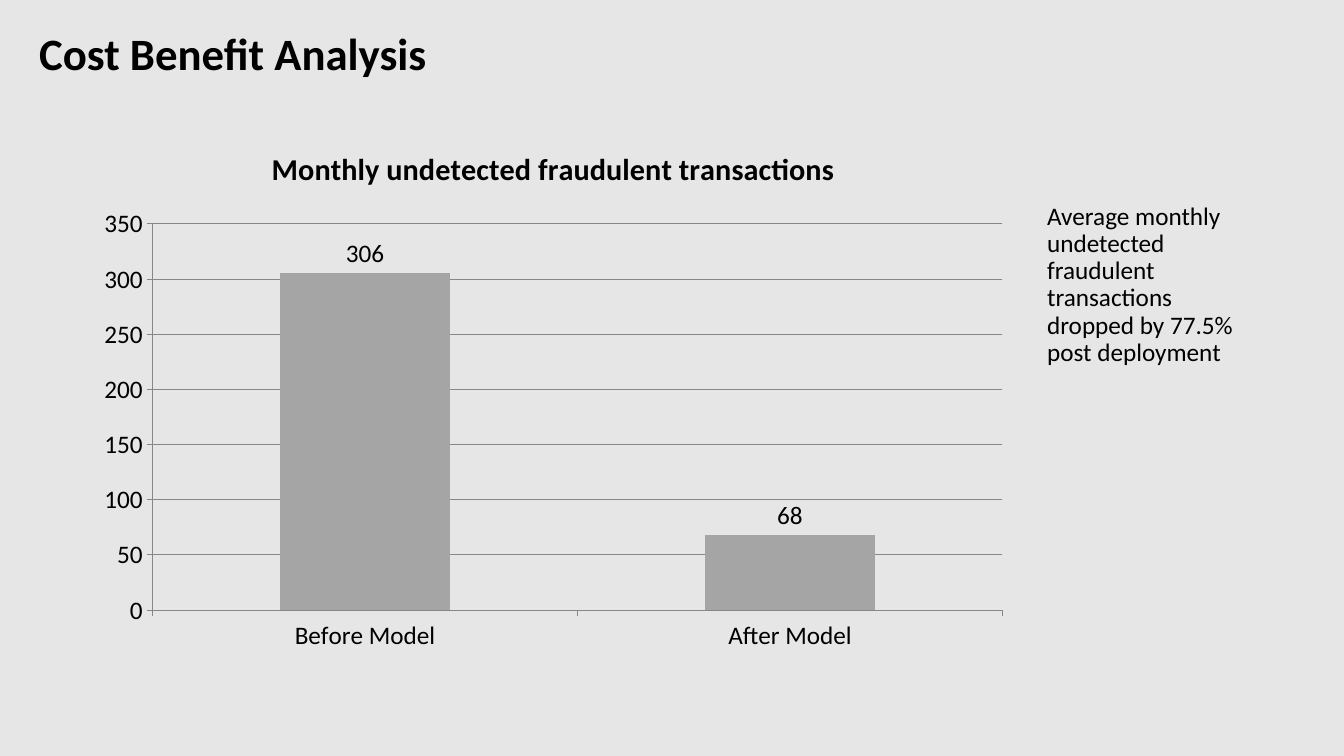
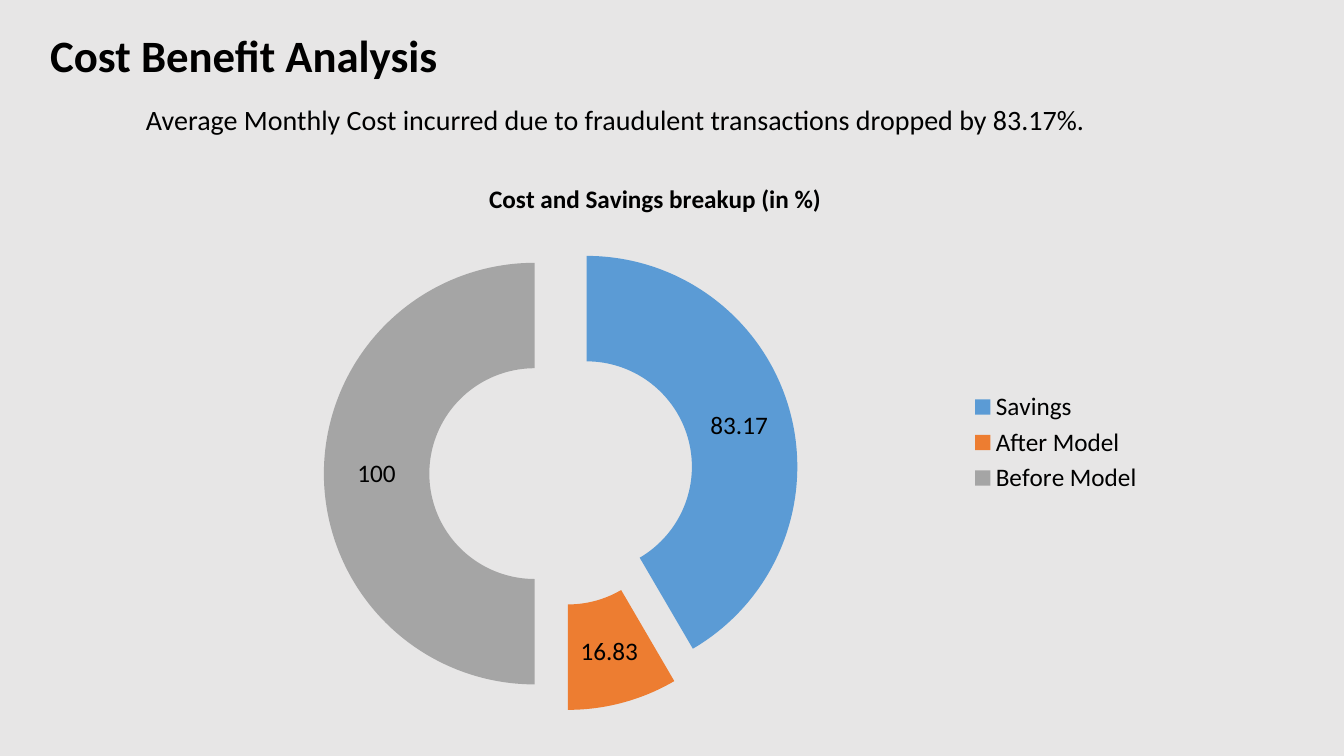
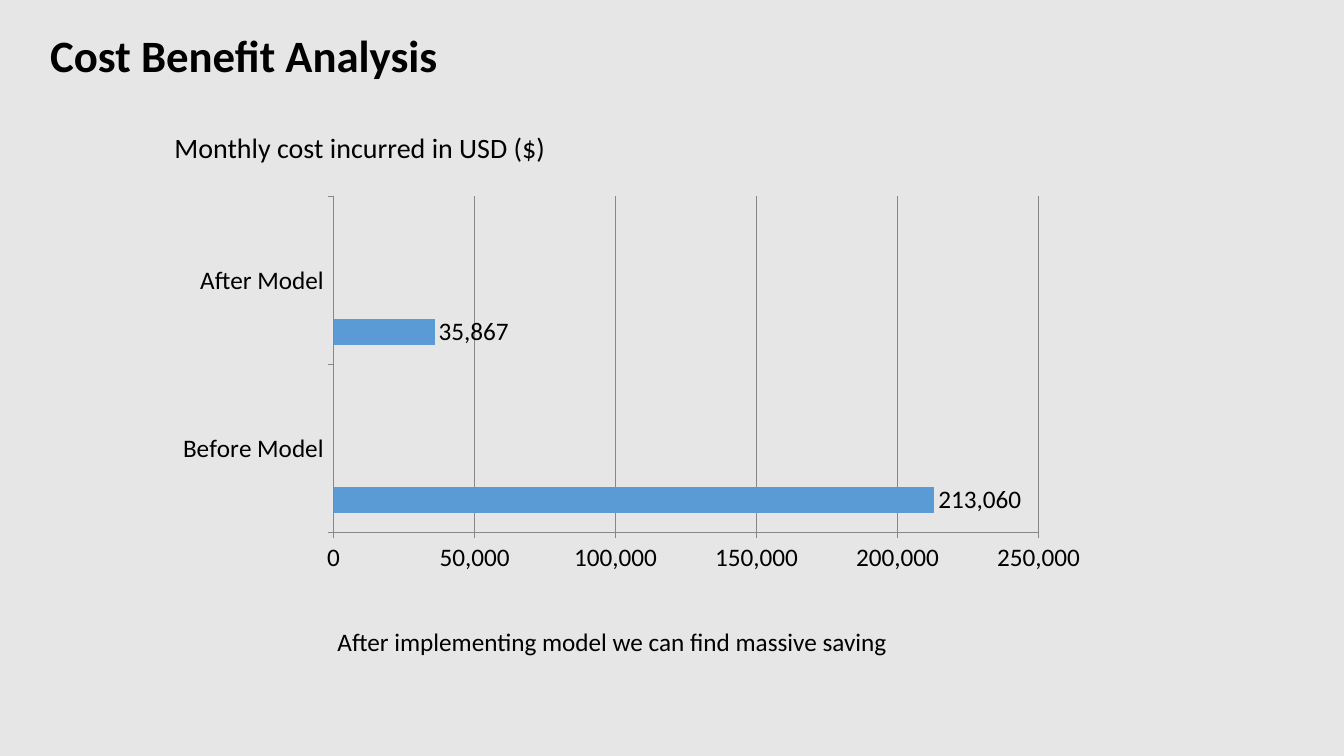
from lxml import etree
from pptx import Presentation
from pptx.chart.data import CategoryChartData
from pptx.dml.color import RGBColor
from pptx.enum import chart as ch
from pptx.oxml import ns
from pptx.util import Pt

BACKDROP = RGBColor(0xE7, 0xE6, 0xE6)
INK = RGBColor(0, 0, 0)
RULE = RGBColor(0x87, 0x87, 0x87)
BLUE = RGBColor(0x5B, 0x9B, 0xD5)
ORANGE = RGBColor(0xED, 0x7D, 0x31)
GRAY = RGBColor(0xA5, 0xA5, 0xA5)
GOLD = RGBColor(0xFF, 0xC0, 0x00)
INDIGO = RGBColor(0x44, 0x72, 0xC4)
FONT = "Calibri"
BODY = 18
BEFORE, AFTER = "Before Model", "After Model"


class Deck:
    def __init__(self):
        self.prs = Presentation()
        self.prs.slide_width, self.prs.slide_height = Pt(960), Pt(540)
        backdrop = self.prs.slide_master.background.fill
        backdrop.solid()
        backdrop.fore_color.rgb = BACKDROP
        self.slide = None

    def style(self, font, size=BODY, bold=False):
        font.name, font.size, font.bold = FONT, Pt(size), bold
        font.color.rgb = INK

    def add_slide(self, left=28.8, top=20.9):
        self.slide = self.prs.slides.add_slide(self.prs.slide_layouts[6])
        self.text("Cost Benefit Analysis", (left, top, 304, 39.6), 32, True, 0.9)

    def text(self, words, box, size=BODY, bold=False, spacing=1.0):
        frame = self.slide.shapes.add_textbox(*map(Pt, box)).text_frame
        frame.word_wrap = True
        paragraph = frame.paragraphs[0]
        paragraph.text = words
        paragraph.line_spacing = spacing
        self.style(paragraph.font, size, bold)

    def chart(self, kind, box, categories, series, title=None,
              title_size=BODY, number_format="General"):
        data = CategoryChartData(number_format=number_format)
        data.categories = categories
        for name, values in series:
            data.add_series(name, values)
        chart = self.slide.shapes.add_chart(kind, *map(Pt, box), data).chart
        self.style(chart.font)
        chart.has_legend = False
        chart.has_title = title is not None
        if title:
            heading = chart.chart_title.text_frame.paragraphs[0]
            heading.text = title
            self.style(heading.font, title_size, True)
        return chart

    def label_values(self, target, number_format="General", position=None):
        labels = target.data_labels
        labels.show_value = True
        labels.number_format = number_format
        labels.number_format_is_linked = False
        if position is not None:
            labels.position = position
        self.style(labels.font)

    def bars(self, kind, box, series, colors, number_format="General", **heading):
        chart = self.chart(kind, box, [BEFORE, AFTER], series,
                           number_format=number_format, **heading)
        plot = chart.plots[0]
        plot.gap_width = 150
        plot.vary_by_categories = False
        for bar, color in zip(plot.series, colors):
            bar.format.fill.solid()
            bar.format.fill.fore_color.rgb = color
        self.label_values(plot.series[0], number_format,
                          ch.XL_LABEL_POSITION.OUTSIDE_END)
        chart.value_axis.has_major_gridlines = True
        chart.value_axis.tick_labels.number_format = number_format
        chart.value_axis.tick_labels.number_format_is_linked = False
        for axis in (chart.category_axis, chart.value_axis):
            axis.major_tick_mark = ch.XL_TICK_MARK.OUTSIDE
            self.style(axis.tick_labels.font)
        for line in (chart.category_axis.format.line, chart.value_axis.format.line,
                     chart.value_axis.major_gridlines.format.line):
            line.color.rgb = RULE
            line.width = Pt(0.75)

    def doughnut(self, box, categories, values, colors, explosion, **heading):
        chart = self.chart(ch.XL_CHART_TYPE.DOUGHNUT, box, categories,
                           [("Series 1", values)], **heading)
        ring = chart.plots[0].series[0]
        for old in ring._element.findall(ns.qn("c:explosion")):
            ring._element.remove(old)
        burst = etree.Element(ns.qn("c:explosion"), val=str(explosion))
        ring._element.find(ns.qn("c:tx")).addnext(burst)
        for index, color in enumerate(colors):
            fill = ring.points[index].format.fill
            fill.solid()
            fill.fore_color.rgb = color
        self.label_values(ring)
        chart.has_legend = True
        chart.legend.position = ch.XL_LEGEND_POSITION.RIGHT
        chart.legend.include_in_layout = False
        self.style(chart.legend.font)


def main():
    deck = Deck()

    transactions = "Monthly undetected fraudulent transactions"
    deck.add_slide(20.9, 19.4)
    deck.bars(ch.XL_CHART_TYPE.COLUMN_CLUSTERED, (61.2, 90, 668.2, 382.3),
              [(transactions, (306, 68))], [GRAY],
              title=transactions, title_size=21.6)
    deck.text("Average monthly undetected fraudulent transactions dropped by "
              "77.5% post deployment", (740.9, 141.8, 157.7, 127.4), spacing=0.9)

    deck.add_slide()
    deck.text("Average Monthly Cost incurred due to fraudulent transactions "
              "dropped by 83.17%.", (97.2, 74.2, 717, 28), 20, spacing=0.8)
    deck.doughnut((112.3, 114.5, 711.4, 403.2), ["Savings", AFTER, BEFORE],
                  (83.17, 16.83, 100), (BLUE, ORANGE, GRAY), 25,
                  title="Cost and Savings breakup (in %)")

    deck.add_slide()
    deck.text("Monthly cost incurred in USD ($)", (117.4, 90, 308.2, 31.7), 20)
    costs = [("Series 1", (213060, 35867))]
    costs += [(f"Series {number}", (None, None)) for number in range(2, 6)]
    deck.bars(ch.XL_CHART_TYPE.BAR_CLUSTERED, (117.4, 134.6, 667.4, 280.1),
              costs, (BLUE, ORANGE, GRAY, GOLD, INDIGO), "#,##0")
    deck.text("After implementing model we can find massive saving",
              (234, 443.5, 434.9, 28.8))

    deck.prs.save("out.pptx")


if __name__ == "__main__":
    main()
